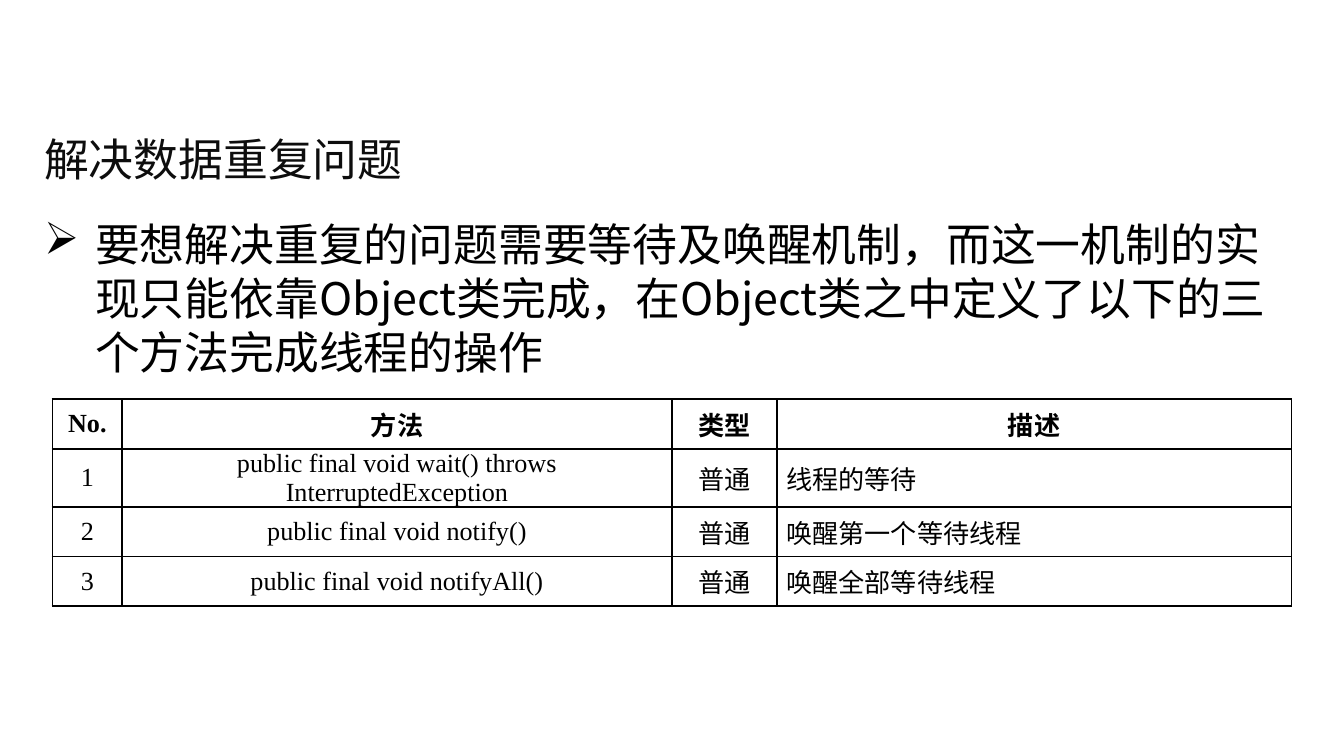
from lxml import etree
from pptx import Presentation
from pptx.dml.color import RGBColor
from pptx.enum.text import MSO_ANCHOR, PP_ALIGN
from pptx.oxml.ns import qn
from pptx.util import Inches, Pt

MIDDLE, TOP = MSO_ANCHOR.MIDDLE, MSO_ANCHOR.TOP
CENTER, JUSTIFY = PP_ALIGN.CENTER, PP_ALIGN.JUSTIFY
SANS, SERIF = "Noto Sans CJK SC", "Times New Roman"
BLACK, DARK = "000000", "0D0D0D"

TITLE = "解决数据重复问题"
BODY = ("要想解决重复的问题需要等待及唤醒机制，而这一机制的实现只能依靠Object类完成，"
        "在Object类之中定义了以下的三个方法完成线程的操作")
ROWS = [
    ("No.", "方法", "类型", "描述"),
    ("1", "public final void wait() throws InterruptedException", "普通", "线程的等待"),
    ("2", "public final void notify()", "普通", "唤醒第一个等待线程"),
    ("3", "public final void notifyAll()", "普通", "唤醒全部等待线程"),
]
COL_WIDTHS = [0.52, 4.09, 0.78, 3.83]
ROW_HEIGHT = 0.37


def rgb(value):
    return RGBColor.from_string(value)


def apply(target, values):
    for name, value in values.items():
        setattr(target, name, value)


def add_run(p, text, color, **font):
    r = p.add_run()
    r.text = text
    apply(r.font, font)
    r.font.color.rgb = rgb(color)
    etree.SubElement(r._r.get_or_add_rPr(), qn("a:ea"), typeface=SANS)


def add_text_box(slide, box, anchor):
    tf = slide.shapes.add_textbox(*map(Inches, box)).text_frame
    apply(tf, {"word_wrap": True, "vertical_anchor": anchor})
    return tf.paragraphs[0]


def add_title(slide, box):
    p = add_text_box(slide, box, MIDDLE)
    add_run(p, TITLE, DARK, size=Pt(24), name=SANS)


def add_body(slide, box):
    p = add_text_box(slide, box, TOP)
    p.line_spacing = Pt(29)
    pPr = p._p.get_or_add_pPr()
    indent = Inches(0.38)
    pPr.set("marL", str(indent))
    pPr.set("indent", str(-indent))
    etree.SubElement(pPr, qn("a:buFont"), typeface="Wingdings", charset="2")
    etree.SubElement(pPr, qn("a:buChar"), char="Ø")
    add_run(p, BODY, BLACK, size=Pt(24), name=SANS)


def set_borders(cell, color, width):
    tcPr = cell._tc.get_or_add_tcPr()
    for i, side in enumerate(("lnL", "lnR", "lnT", "lnB")):
        ln = etree.Element(qn(f"a:{side}"), w=str(Pt(width)))
        fill = etree.SubElement(ln, qn("a:solidFill"))
        etree.SubElement(fill, qn("a:srgbClr"), val=color)
        tcPr.insert(i, ln)


def add_method_table(slide, left, top):
    table = slide.shapes.add_table(
        len(ROWS), len(COL_WIDTHS), Inches(left), Inches(top),
        Inches(sum(COL_WIDTHS)), Inches(ROW_HEIGHT * len(ROWS))).table
    for column, width in zip(table.columns, COL_WIDTHS):
        column.width = Inches(width)
    cell_format = {"vertical_anchor": MIDDLE,
                   "margin_left": Inches(0.07), "margin_right": Inches(0.07),
                   "margin_top": 0, "margin_bottom": 0}
    for i, texts in enumerate(ROWS):
        table.rows[i].height = Inches(ROW_HEIGHT)
        for j, text in enumerate(texts):
            cell = table.cell(i, j)
            apply(cell, cell_format)
            cell.fill.background()
            set_borders(cell, BLACK, 1)
            p = cell.text_frame.paragraphs[0]
            p.alignment = JUSTIFY if i > 0 and j == 3 else CENTER
            if i > 0 and j == 1:
                p.line_spacing = Pt(15.5)
            add_run(p, text, BLACK, size=Pt(14), name=SERIF, bold=i == 0)


def main():
    prs = Presentation()
    prs.slide_width = Inches(10)
    prs.slide_height = prs.slide_width * 9 // 16
    slide = prs.slides.add_slide(prs.slide_layouts[6])
    add_title(slide, (0.23, 0.86, 9.53, 0.64))
    add_body(slide, (0.23, 1.56, 9.53, 3.52))
    add_method_table(slide, 0.39, 2.97)
    prs.save("out.pptx")


if __name__ == "__main__":
    main()
